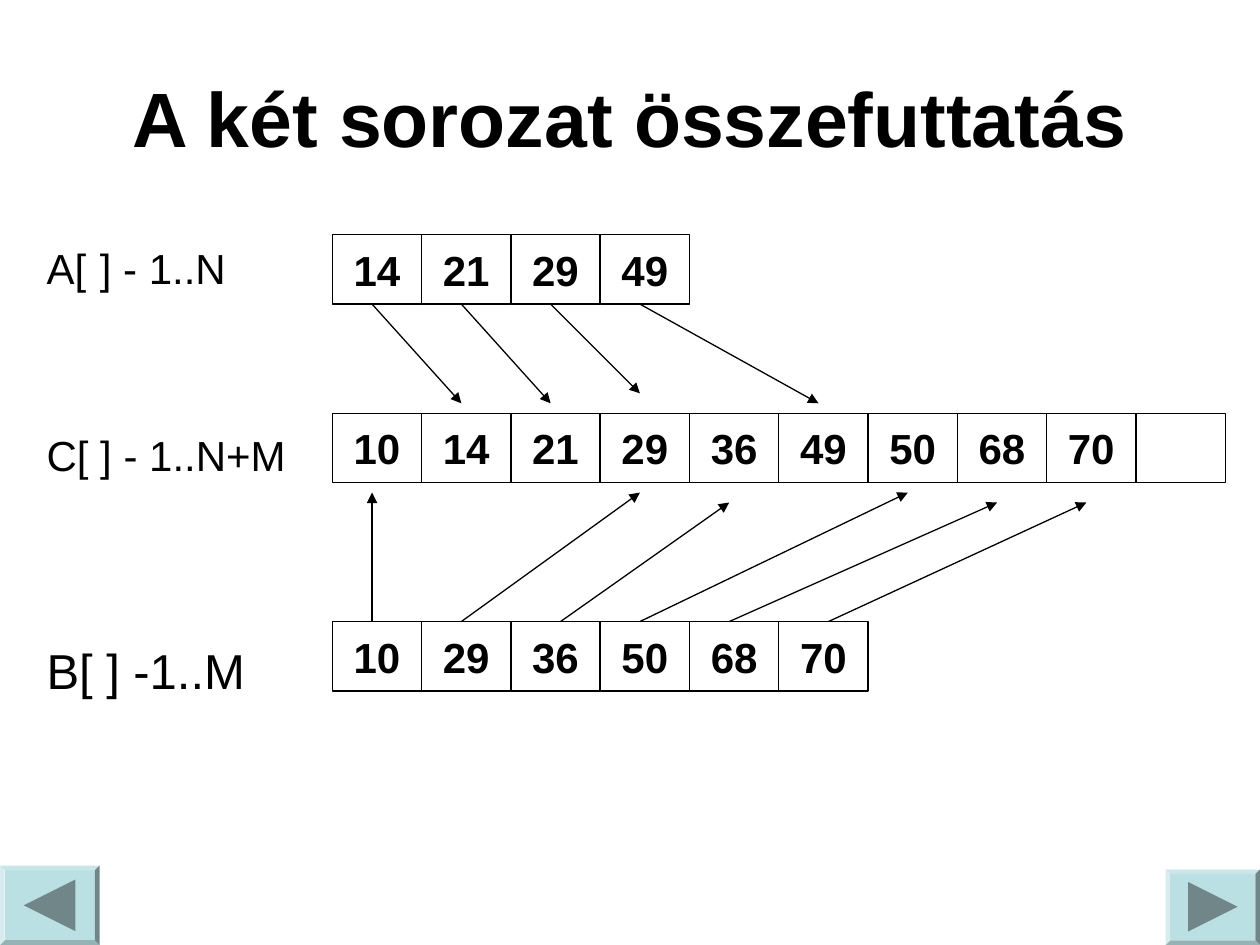
import pptx
import pptx.dml.color
import pptx.enum.shapes
import pptx.enum.text
import pptx.oxml
import pptx.oxml.ns
import pptx.util
from pptx.util import Cm, Pt

BLACK = pptx.dml.color.RGBColor(0x00, 0x00, 0x00)
BUTTON = pptx.dml.color.RGBColor(0xBB, 0xE0, 0xE3)
BUTTON_ARROW = pptx.dml.color.RGBColor(0x70, 0x86, 0x88)
SHAPE = pptx.enum.shapes.MSO_SHAPE
MIDDLE = pptx.enum.text.MSO_ANCHOR.MIDDLE
CENTER = pptx.enum.text.PP_ALIGN.CENTER

TITLE = "A két sorozat összefuttatás"
# (space before in points, [(text, size in points)])
LABELS = [
    (0, [("A[", 24), (" ", 28), ("] - 1..N", 24)]),
    (77.5, [("C[ ] - 1..N+M", 24)]),
    (91.5, [("B[ ] -1..M", 28)]),
]
# top in cm, cell values
ROWS = {
    "A": (4.73, [14, 21, 29, 49]),
    "C": (8.33, [10, 14, 21, 29, 36, 49, 50, 68, 70, ""]),
    "B": (12.53, [10, 29, 36, 50, 68, 70]),
}
# source row, source cell, start offset in the cell, cell in C, gap to C
MERGES = [
    ("A", 0, 0.8, 1, 0.2), ("A", 1, 0.8, 2, 0.2),
    ("A", 2, 0.8, 3, 0.4), ("A", 3, 0.8, 5, 0.2),
    ("B", 0, 0.8, 0, 0.2), ("B", 1, 0.8, 3, 0.2),
    ("B", 2, 1.0, 4, 0.4), ("B", 3, 0.8, 6, 0.2),
    ("B", 4, 0.8, 7, 0.4), ("B", 5, 1.0, 8, 0.4),
]
# left, top, width, height; triangle left, top, size; triangle rotation
BUTTONS = [
    ((0, 17.45, 2.01, 1.6), (0.48, 17.73, 1.04), 270),
    ((23.5, 17.53, 1.9, 1.52), (23.95, 17.78, 1.0), 90),
]
ROW_LEFT, CELL_WIDTH, CELL_HEIGHT = 6.7, 1.8, 1.4
ARROW_END = 0.8
CELL_FONT = {"name": "Arial", "size": Pt(24), "bold": True}
TITLE_FONT = {"name": "Arial", "size": Pt(44), "bold": True}


def set_font(font, values):
    for name, value in values.items():
        setattr(font, name, value)
    font.color.rgb = BLACK


def cell_left(index):
    return ROW_LEFT + index * CELL_WIDTH


def add_plain_shape(page, kind, *place):
    shape = page.shapes.add_shape(kind, *map(Cm, place))
    shape.shadow.inherit = False
    return shape


def add_cell(page, index, top, value):
    cell = add_plain_shape(page, SHAPE.RECTANGLE, cell_left(index), top,
                           CELL_WIDTH, CELL_HEIGHT)
    cell.fill.background()
    cell.line.color.rgb = BLACK
    cell.line.width = Pt(0.75)
    if value == "":
        return
    frame = cell.text_frame
    frame.word_wrap = False
    frame.vertical_anchor = MIDDLE
    para = frame.paragraphs[0]
    para.alignment = CENTER
    span = para.add_run()
    span.text = str(value)
    set_font(span.font, CELL_FONT)


def add_merge_arrow(page, row, source, offset, target, gap):
    """Point from a cell of A (downwards) or B (upwards) to a cell of C."""
    source_top, merged_top = ROWS[row][0], ROWS["C"][0]
    if row == "A":
        start, end = source_top + CELL_HEIGHT, merged_top - gap
    else:
        start, end = source_top, merged_top + CELL_HEIGHT + gap
    arrow = page.shapes.add_connector(
        pptx.enum.shapes.MSO_CONNECTOR.STRAIGHT,
        Cm(cell_left(source) + offset), Cm(start),
        Cm(cell_left(target) + ARROW_END), Cm(end))
    arrow.line.color.rgb = BLACK
    arrow.line.width = Pt(0.75)
    namespace = pptx.oxml.ns.nsdecls("a")
    head = pptx.oxml.parse_xml(f'<a:tailEnd {namespace} type="triangle"/>')
    arrow.line._get_or_add_ln().append(head)
    effects = pptx.oxml.parse_xml(f"<a:effectLst {namespace}/>")
    arrow._element.spPr.append(effects)


def add_labels(page):
    box = page.shapes.add_textbox(Cm(0.69), Cm(4.62), Cm(5.6), Cm(9.6))
    frame = box.text_frame
    frame.word_wrap = True
    for number, (space, spans) in enumerate(LABELS):
        para = frame.add_paragraph() if number else frame.paragraphs[0]
        para.space_before = Pt(space)
        for text, size in spans:
            span = para.add_run()
            span.text = text
            set_font(span.font, {"name": "Arial", "size": Pt(size)})


def add_button(page, place, triangle_place, rotation):
    left, top, size = triangle_place
    bevel = add_plain_shape(page, SHAPE.BEVEL, *place)
    bevel.adjustments[0] = 0.06
    triangle = add_plain_shape(page, SHAPE.ISOSCELES_TRIANGLE,
                               left, top, size, size)
    triangle.rotation = rotation
    for shape, color in ((bevel, BUTTON), (triangle, BUTTON_ARROW)):
        shape.fill.solid()
        shape.fill.fore_color.rgb = color
        shape.line.fill.background()


def main():
    deck = pptx.Presentation()
    deck.slide_width, deck.slide_height = Cm(25.4), Cm(19.05)
    page = deck.slides.add_slide(deck.slide_layouts[5])

    title = page.shapes.title
    title.left, title.top = Cm(1.27), Cm(0.76)
    title.width, title.height = Cm(22.86), Cm(3.18)
    title.text_frame.text = TITLE
    title.text_frame.vertical_anchor = MIDDLE
    para = title.text_frame.paragraphs[0]
    para.alignment = CENTER
    set_font(para.runs[0].font, TITLE_FONT)

    add_labels(page)
    for button in BUTTONS:
        add_button(page, *button)
    for top, values in ROWS.values():
        for index, value in enumerate(values):
            add_cell(page, index, top, value)
    for merge in MERGES:
        add_merge_arrow(page, *merge)

    deck.save("out.pptx")


if __name__ == "__main__":
    main()
